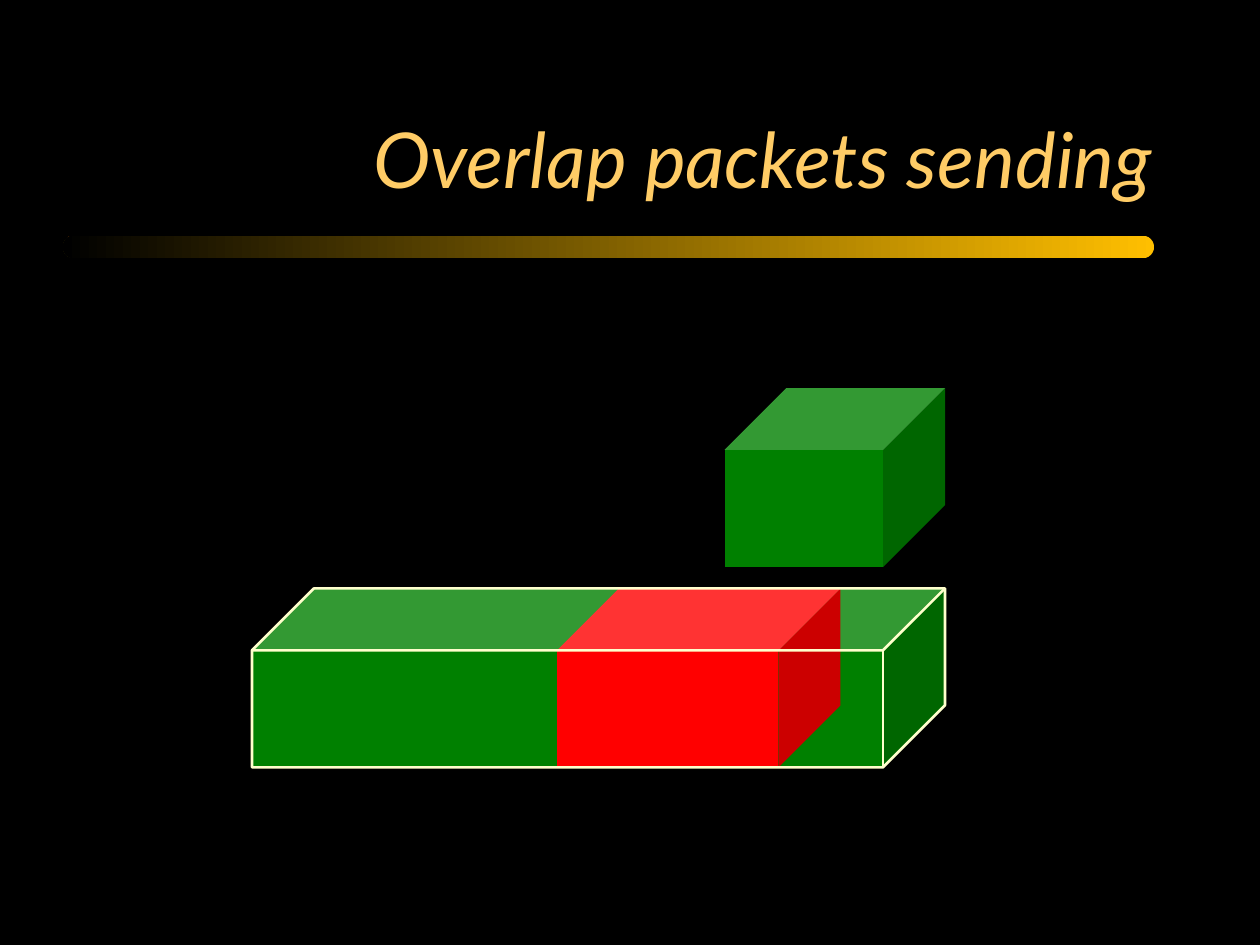
from pptx import Presentation
from pptx.dml.color import RGBColor
from pptx.enum.shapes import MSO_SHAPE
from pptx.enum.text import MSO_ANCHOR, MSO_AUTO_SIZE, PP_ALIGN
from pptx.util import Inches, Pt

COLORS = {
    "background": "000000",
    "title": "FFCC66",
    "bar": "FFBF00",
    "packet": "008000",
    "overlap": "FF0000",
    "outline": "FFFFCC",
}
TITLE_FORMAT = {"name": "Lato", "size": Pt(44), "italic": True, "bold": False}
CUBE_HEIGHT = 1.42
CUBE_DEPTH = 0.346
PACKET_WIDTH = 1.75
PACKET_STEP = 1.25
ROW_LEFT, ROW_TOP = 2, 4.67
PACKET_COUNT = 4


def color(name):
    return RGBColor.from_string(COLORS[name])


def add_title(page, text):
    title = page.shapes.title
    title.left, title.top = Inches(0.75), Inches(0.42)
    title.width, title.height = Inches(8.5), Inches(1.25)
    frame = title.text_frame
    frame.text = text
    frame.word_wrap = True
    frame.auto_size = MSO_AUTO_SIZE.NONE
    frame.vertical_anchor = MSO_ANCHOR.BOTTOM
    para = frame.paragraphs[0]
    para.alignment = PP_ALIGN.RIGHT
    font = para.runs[0].font
    for attribute, value in TITLE_FORMAT.items():
        setattr(font, attribute, value)
    font.color.rgb = color("title")


def add_shape(page, kind, left, top, width, height, adjustment):
    """Add a preset shape without shadow, fill or line."""
    shape = page.shapes.add_shape(
        kind, Inches(left), Inches(top), Inches(width), Inches(height))
    shape.adjustments[0] = adjustment
    shape.shadow.inherit = False
    shape.fill.background()
    shape.line.fill.background()
    return shape


def add_gradient_bar(page):
    bar = add_shape(page, MSO_SHAPE.ROUNDED_RECTANGLE, 0.5, 1.87, 8.66, 0.18, 0.5)
    bar.fill.gradient()
    bar.fill.gradient_angle = 180
    for stop, name in zip(bar.fill.gradient_stops, ("bar", "background")):
        stop.color.rgb = color(name)


def add_cube(page, left, top, width, fill=None, outline=None):
    cube = add_shape(page, MSO_SHAPE.CUBE, left, top, width, CUBE_HEIGHT, CUBE_DEPTH)
    if fill:
        cube.fill.solid()
        cube.fill.fore_color.rgb = color(fill)
    if outline:
        cube.line.color.rgb = color(outline)
        cube.line.width = Pt(1.5)


def main():
    deck = Presentation()
    deck.slide_width, deck.slide_height = Inches(10), Inches(7.5)
    page = deck.slides.add_slide(deck.slide_layouts[5])
    page.background.fill.solid()
    page.background.fill.fore_color.rgb = color("background")

    add_gradient_bar(page)
    add_title(page, "Overlap packets sending")

    for index in range(PACKET_COUNT):
        add_cube(page, ROW_LEFT + index * PACKET_STEP, ROW_TOP, PACKET_WIDTH, "packet")
    add_cube(page, 4.42, ROW_TOP, 2.25, "overlap")
    row_width = (PACKET_COUNT - 1) * PACKET_STEP + PACKET_WIDTH
    add_cube(page, ROW_LEFT, ROW_TOP, row_width, outline="outline")
    last_left = ROW_LEFT + (PACKET_COUNT - 1) * PACKET_STEP
    add_cube(page, last_left, 3.08, PACKET_WIDTH, "packet")

    deck.save("out.pptx")


if __name__ == "__main__":
    main()
